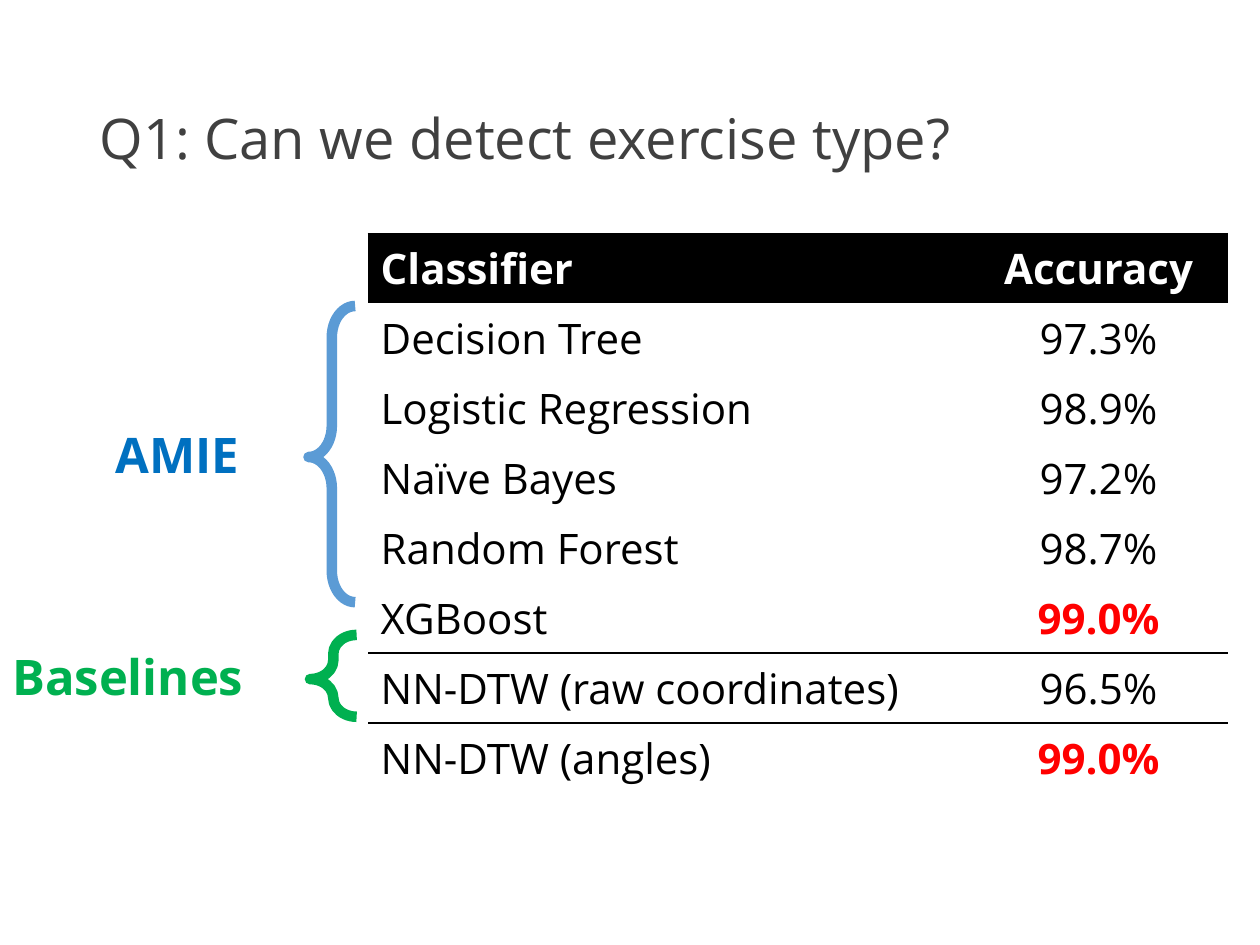
from lxml.etree import SubElement
from pptx import Presentation
from pptx.dml.color import RGBColor
from pptx.enum.shapes import MSO_SHAPE
from pptx.enum.text import MSO_ANCHOR, PP_ALIGN
from pptx.oxml.ns import qn
from pptx.util import Cm, Pt

COLORS = {
    "title": "404040",
    "black": "000000",
    "white": "FFFFFF",
    "best": "FF0000",
    "amie": "0070C0",
    "amie brace": "5B9BD5",
    "baselines": "00B050",
}
NO_STYLE_NO_GRID = "{2D5ABB26-0587-4C30-8999-92F81FD0307C}"
RESULTS = [
    ("Classifier", "Accuracy"),
    ("Decision Tree", "97.3%"),
    ("Logistic Regression", "98.9%"),
    ("Naïve Bayes", "97.2%"),
    ("Random Forest", "98.7%"),
    ("XGBoost", "99.0%"),
    ("NN-DTW (raw coordinates)", "96.5%"),
    ("NN-DTW (angles)", "99.0%"),
]
BEST = "99.0%"
LAST_AMIE_ROW = 5
ROW_HEIGHT = Cm(1.41)
COLUMN_WIDTHS = [Cm(12.12), Cm(5.21)]


def write(frame, text, color, size, bold=False, align=PP_ALIGN.LEFT):
    frame.text = text
    paragraph = frame.paragraphs[0]
    paragraph.alignment = align
    font = paragraph.runs[0].font
    font_format = {"name": "Open Sans", "size": Pt(size), "bold": bold}
    for attribute, value in font_format.items():
        setattr(font, attribute, value)
    font.color.rgb = RGBColor.from_string(COLORS[color])


def add_border(cell, side, color, width):
    """Add one edge, side being lnL, lnR, lnT or lnB, ahead of the cell's fill."""
    properties = cell._tc.get_or_add_tcPr()
    edge = SubElement(properties, qn(f"a:{side}"), w=str(Pt(width)))
    fill = SubElement(edge, qn("a:solidFill"))
    SubElement(fill, qn("a:srgbClr"), val=COLORS[color])


prs = Presentation()
prs.slide_width, prs.slide_height = Cm(25.4), Cm(19.05)
slide = prs.slides.add_slide(prs.slide_layouts[5])

# Title
title = slide.shapes.title
title_place = {"left": Cm(1.75), "top": Cm(1.01), "width": Cm(21.9), "height": Cm(3.68)}
for attribute, value in title_place.items():
    setattr(title, attribute, value)
title.text_frame.vertical_anchor = MSO_ANCHOR.MIDDLE
write(title.text_frame, "Q1: Can we detect exercise type?", "title", 32)
title.text_frame.paragraphs[0].line_spacing = 0.9

# Accuracy table
accuracy = slide.shapes.add_table(
    len(RESULTS), len(COLUMN_WIDTHS), Cm(7.42), Cm(4.7),
    sum(COLUMN_WIDTHS), ROW_HEIGHT * len(RESULTS),
).table
accuracy.horz_banding = False
accuracy._tbl.tblPr.find(qn("a:tableStyleId")).text = NO_STYLE_NO_GRID
for column, width in zip(accuracy.columns, COLUMN_WIDTHS):
    column.width = width

for r, result in enumerate(RESULTS):
    accuracy.rows[r].height = ROW_HEIGHT
    for c, text in enumerate(result):
        cell = accuracy.cell(r, c)
        is_header, is_best = r == 0, text == BEST
        color = "white" if is_header else "best" if is_best else "black"
        align = PP_ALIGN.CENTER if c == 1 else PP_ALIGN.LEFT
        write(cell.text_frame, text, color, 24, is_header or is_best, align)
        if is_header:
            for side in ("lnR", "lnT") if c else ("lnL", "lnT"):
                add_border(cell, side, "black", 0.5)
            cell.fill.solid()
            cell.fill.fore_color.rgb = RGBColor.from_string(COLORS["black"])
        else:
            if r == LAST_AMIE_ROW:
                add_border(cell, "lnB", "black", 1)
            elif r == LAST_AMIE_ROW + 1:
                add_border(cell, "lnT", "black", 1)
            cell.fill.background()

# Group labels with their braces
GROUPS = [
    ("AMIE", "amie", (2.08, 8.43), "amie brace", (6.22, 6.17, 5.97), 0.51),
    ("Baselines", "baselines", (0, 12.9), "baselines", (6.25, 12.8, 1.65), 0.54),
]
for name, color, (left, top), brace_color, brace_place, point in GROUPS:
    label = slide.shapes.add_textbox(Cm(left), Cm(top), Cm(5.38), Cm(1.45))
    label.text_frame.word_wrap = True
    write(label.text_frame, name, color, 28, bold=True)

    brace_left, brace_top, brace_height = brace_place
    brace = slide.shapes.add_shape(
        MSO_SHAPE.LEFT_BRACE, Cm(brace_left), Cm(brace_top), Cm(0.94), Cm(brace_height)
    )
    brace.adjustments[0], brace.adjustments[1] = 0.67, point
    brace.shadow.inherit = False
    brace.fill.background()
    brace.line.color.rgb = RGBColor.from_string(COLORS[brace_color])
    brace.line.width = Pt(6)

prs.save("out.pptx")
